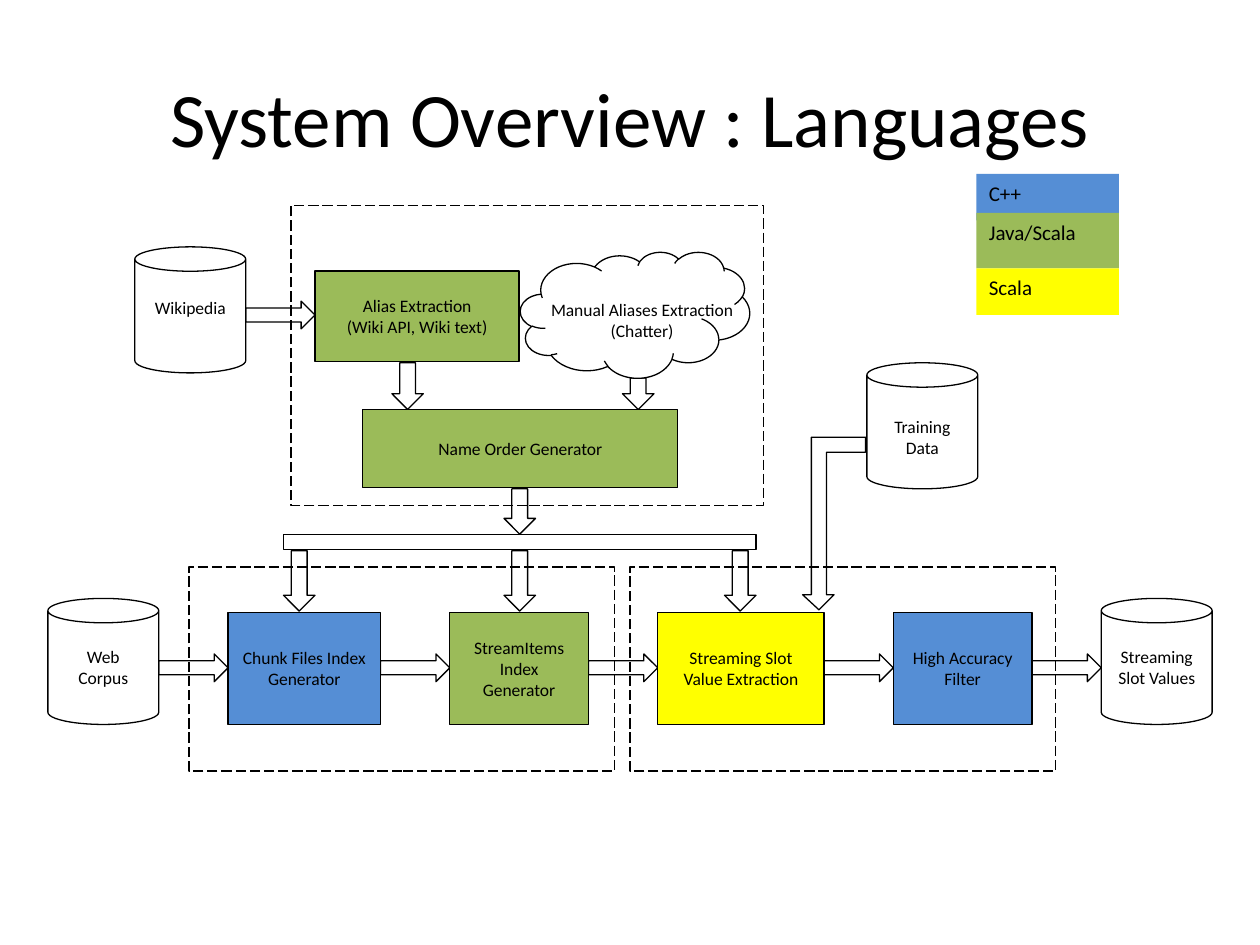
from dataclasses import dataclass

from pptx import Presentation
from pptx.dml.color import RGBColor
from pptx.enum.dml import MSO_LINE
from pptx.enum.shapes import MSO_SHAPE
from pptx.enum.text import MSO_ANCHOR, PP_ALIGN
from pptx.util import Inches, Pt

RECT, CAN, CLOUD = MSO_SHAPE.RECTANGLE, MSO_SHAPE.CAN, MSO_SHAPE.CLOUD
RIGHT, DOWN = MSO_SHAPE.RIGHT_ARROW, MSO_SHAPE.DOWN_ARROW
TOP, MIDDLE = MSO_ANCHOR.TOP, MSO_ANCHOR.MIDDLE
LEFT, CENTER = PP_ALIGN.LEFT, PP_ALIGN.CENTER
DASH = MSO_LINE.LONG_DASH


@dataclass(frozen=True)
class Theme:
    font: str = "Calibri"
    ink: RGBColor = RGBColor(0x00, 0x00, 0x00)
    paper: RGBColor = RGBColor(0xFF, 0xFF, 0xFF)
    cpp: RGBColor = RGBColor(0x55, 0x8E, 0xD5)
    java: RGBColor = RGBColor(0x9B, 0xBB, 0x59)
    scala: RGBColor = RGBColor(0xFF, 0xFF, 0x00)
    title_size: int = 44
    legend_size: int = 12
    label_size: int = 10
    line_width: float = 0.75


class Diagram:
    """Draws elements on one slide in the style of a theme."""

    def __init__(self, slide, theme):
        self.slide, self.theme = slide, theme

    def set_text(self, tf, lines, size, align=CENTER, anchor=MIDDLE):
        tf.word_wrap = True
        tf.vertical_anchor = anchor
        for i, line in enumerate(lines):
            p = tf.add_paragraph() if i else tf.paragraphs[0]
            p.alignment = align
            r = p.add_run()
            r.text = line
            for name, value in {"name": self.theme.font, "size": Pt(size)}.items():
                setattr(r.font, name, value)
            r.font.color.rgb = self.theme.ink

    def paint(self, s, fill, outlined=True):
        s.shadow.inherit = False
        if fill is None:
            s.fill.background()
        else:
            s.fill.solid()
            s.fill.fore_color.rgb = fill
        if outlined:
            s.line.color.rgb = self.theme.ink
            s.line.width = Pt(self.theme.line_width)
        else:
            s.line.fill.background()

    def shape(self, kind, box, fill, outlined=True):
        s = self.slide.shapes.add_shape(kind, *map(Inches, box))
        self.paint(s, fill, outlined)
        return s

    def title(self, text):
        s = self.slide.shapes.title
        s.left, s.top, s.width, s.height = map(Inches, (0.5, 0.3, 9, 1.25))
        self.set_text(s.text_frame, [text], self.theme.title_size)

    def arrow(self, kind, *box):
        self.shape(kind, box, self.theme.paper)

    def zone(self, *box):
        self.shape(RECT, box, None).line.dash_style = DASH

    def step(self, box, fill, *lines):
        s = self.shape(RECT, box, fill)
        self.set_text(s.text_frame, lines, self.theme.label_size)

    def label(self, box, text):
        tb = self.slide.shapes.add_textbox(*map(Inches, box))
        self.set_text(tb.text_frame, [text], self.theme.label_size, anchor=TOP)

    def store(self, x, y, text, label_width, label_drop):
        """Data store: a can with its label centred below the lid."""
        width = 0.88
        s = self.shape(CAN, (x, y, width, 1), self.theme.paper)
        s.adjustments[0] = 0.22
        label_x = x + (width - label_width) / 2
        self.label((label_x, y + label_drop, label_width, 0.56), text)

    def outline(self, points):
        start, *rest = [tuple(map(Inches, point)) for point in points]
        fb = self.slide.shapes.build_freeform(*start)
        fb.add_line_segments(rest)
        self.paint(fb.convert_to_shape(), self.theme.paper)

    def legend(self, y, height, fill, text):
        s = self.shape(RECT, (7.75, y, 1.13, height), fill, outlined=False)
        self.set_text(s.text_frame, [text], self.theme.legend_size, LEFT, TOP)


def main():
    prs = Presentation()
    prs.slide_width, prs.slide_height = Inches(10), Inches(7.5)
    theme = Theme()
    d = Diagram(prs.slides.add_slide(prs.slide_layouts[5]), theme)
    d.title("System Overview : Languages")

    pipeline = [
        (1.21, theme.cpp, "Chunk Files Index Generator"),
        (1.1, theme.java, "StreamItems Index Generator"),
        (1.32, theme.scala, "Streaming Slot Value Extraction"),
        (1.1, theme.cpp, "High Accuracy Filter"),
    ]
    gap, arrow_height = 0.55, 0.22
    pipeline_start, pipeline_top = 1.26, 4.86

    # Arrows lie beneath the dashed zones and the boxes
    d.arrow(RIGHT, 1.95, 2.39, gap, arrow_height)
    for x, y, height in [(3.11, 2.88, 0.37), (4.94, 3, 0.25), (4, 3.88, 0.36)]:
        d.arrow(DOWN, x, y, 0.25, height)
    for x in (2.25, 4, 5.75):
        d.arrow(DOWN, x, 4.37, 0.25, 0.48)
    d.outline([(6.87, 3.59), (6.56, 3.59), (6.56, 4.72), (6.62, 4.72), (6.5, 4.84),
               (6.37, 4.72), (6.44, 4.72), (6.44, 3.47), (6.87, 3.47), (6.87, 3.59)])
    x = pipeline_start
    for width in [step[0] for step in pipeline] + [0]:
        d.arrow(RIGHT, x, 5.19, gap, arrow_height)
        x += gap + width

    d.zone(2.31, 1.63, 3.75, 2.38)
    for x in (1.5, 5):
        d.zone(x, 4.5, 3.38, 1.62)

    x = pipeline_start
    for width, fill, text in pipeline:
        d.step((x + gap, pipeline_top, width, 0.89), fill, text)
        x += gap + width

    d.shape(RECT, (2.25, 4.24, 3.75, 0.12), theme.paper)
    d.shape(CLOUD, (4.13, 2, 1.82, 1), theme.paper)
    d.label((4.22, 2.32, 1.75, 0.62), "Manual Aliases Extraction (Chatter)")
    d.step((2.5, 2.15, 1.62, 0.72), theme.java,
           "Alias Extraction", "(Wiki API, Wiki text)")
    d.step((2.88, 3.25, 2.5, 0.62), theme.java, "Name Order Generator")

    for store in [
        (0.38, 4.75, "Web Corpus", 0.66, 0.33),
        (8.74, 4.75, "Streaming Slot Values", 0.88, 0.33),
        (6.88, 2.88, "Training Data", 0.73, 0.37),
        (1.07, 1.96, "Wikipedia", 0.84, 0.35),
    ]:
        d.store(*store)

    d.legend(1.38, 0.37, theme.cpp, "C++")
    d.legend(1.69, 0.44, theme.java, "Java/Scala")
    d.legend(2.13, 0.37, theme.scala, "Scala")
    prs.save("out.pptx")


if __name__ == "__main__":
    main()
